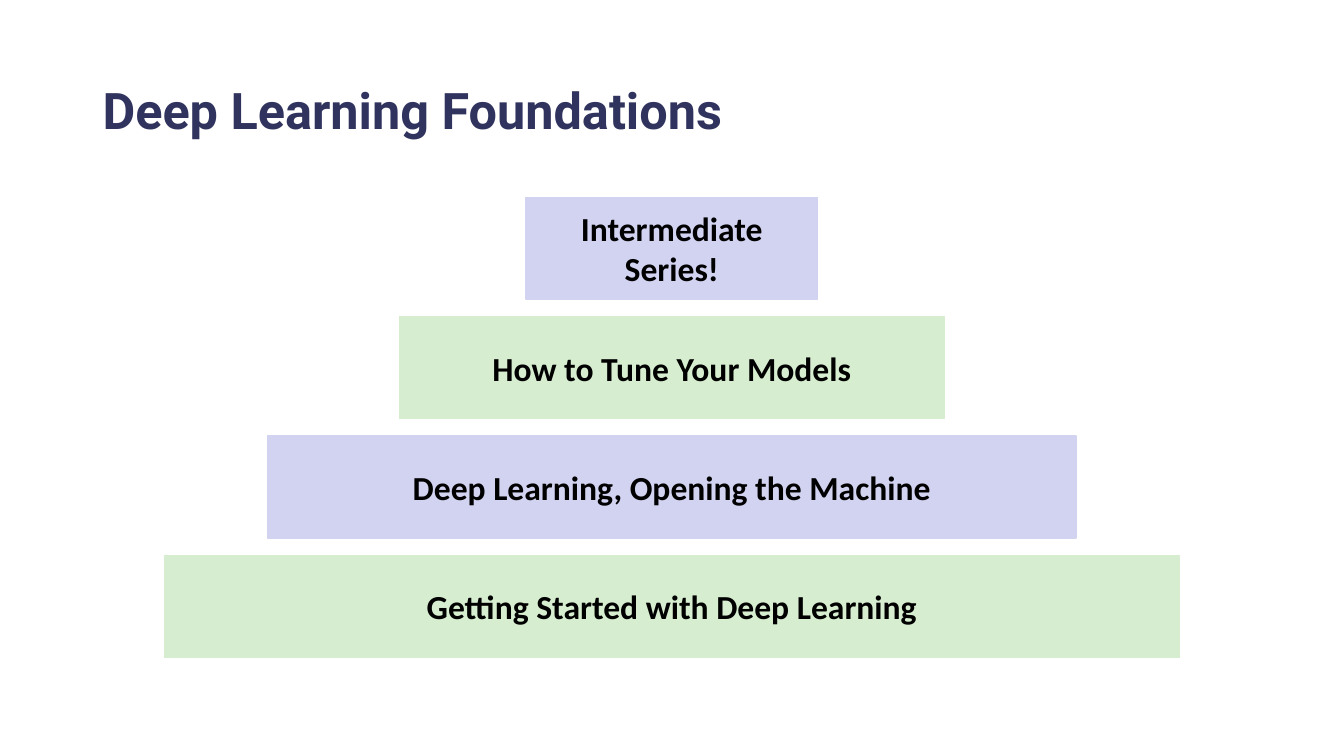
import pptx
import pptx.util
import pptx.dml.color
import pptx.enum.shapes
import pptx.enum.text
from pptx.util import Cm, Pt

RGBColor = pptx.dml.color.RGBColor
ALIGN = pptx.enum.text.PP_ALIGN
MIDDLE = pptx.enum.text.MSO_ANCHOR.MIDDLE

NAVY = RGBColor(0x30, 0x33, 0x5D)
BLACK = RGBColor(0x00, 0x00, 0x00)
GREEN = RGBColor(0xD6, 0xEE, 0xCF)
GREEN_EDGE = RGBColor(0xD6, 0xED, 0xCF)
LILAC = RGBColor(0xD2, 0xD2, 0xF1)

TITLE_FONT = {"name": "Roboto", "size": Pt(36), "bold": True}
STEP_FONT = {"name": "Calibri", "size": Pt(24), "bold": True}

# Pyramid geometry in centimetres
CENTRE = 16.93
BASE_TOP = 14.0
STEP_PITCH = 3.01
STEP_HEIGHT = 2.57

# Pyramid steps from the base up: text, width
STEPS = [
    ("Getting Started with Deep Learning", 25.58),
    ("Deep Learning, Opening the Machine", 20.37),
    ("How to Tune Your Models", 13.72),
    ("Intermediate Series!", 7.34),
]
STEP_COLOURS = [(GREEN, GREEN_EDGE), (LILAC, LILAC)]


def write_text(shape, text, font_values, colour, alignment, line_spacing):
    frame = shape.text_frame
    frame.text = text
    frame.word_wrap = True
    frame.vertical_anchor = MIDDLE
    paragraph = frame.paragraphs[0]
    paragraph.alignment = alignment
    paragraph.line_spacing = line_spacing
    font = paragraph.runs[0].font
    for name, value in font_values.items():
        setattr(font, name, value)
    font.color.rgb = colour


def set_title(slide, text):
    title = slide.shapes.title
    place = {"left": Cm(2.33), "top": Cm(1.02), "width": Cm(29.21), "height": Cm(3.68)}
    for name, value in place.items():
        setattr(title, name, value)
    write_text(title, text, TITLE_FONT, NAVY, ALIGN.LEFT, 0.9)


def add_step(slide, level, text, width):
    shape = slide.shapes.add_shape(
        pptx.enum.shapes.MSO_SHAPE.RECTANGLE,
        Cm(CENTRE - width / 2),
        Cm(BASE_TOP - level * STEP_PITCH),
        Cm(width),
        Cm(STEP_HEIGHT),
    )
    fill, edge = STEP_COLOURS[level % 2]
    shape.shadow.inherit = False
    shape.fill.solid()
    shape.fill.fore_color.rgb = fill
    shape.line.color.rgb = edge
    shape.line.width = Pt(1)
    write_text(shape, text, STEP_FONT, BLACK, ALIGN.CENTER, 1.0)


def main():
    presentation = pptx.Presentation()
    presentation.slide_width = Cm(33.87)
    presentation.slide_height = Cm(19.05)

    # Title-only layout
    slide = presentation.slides.add_slide(presentation.slide_layouts[5])
    set_title(slide, "Deep Learning Foundations")

    # Pyramid
    for level, (text, width) in enumerate(STEPS):
        add_step(slide, level, text, width)

    presentation.save("out.pptx")


if __name__ == "__main__":
    main()
